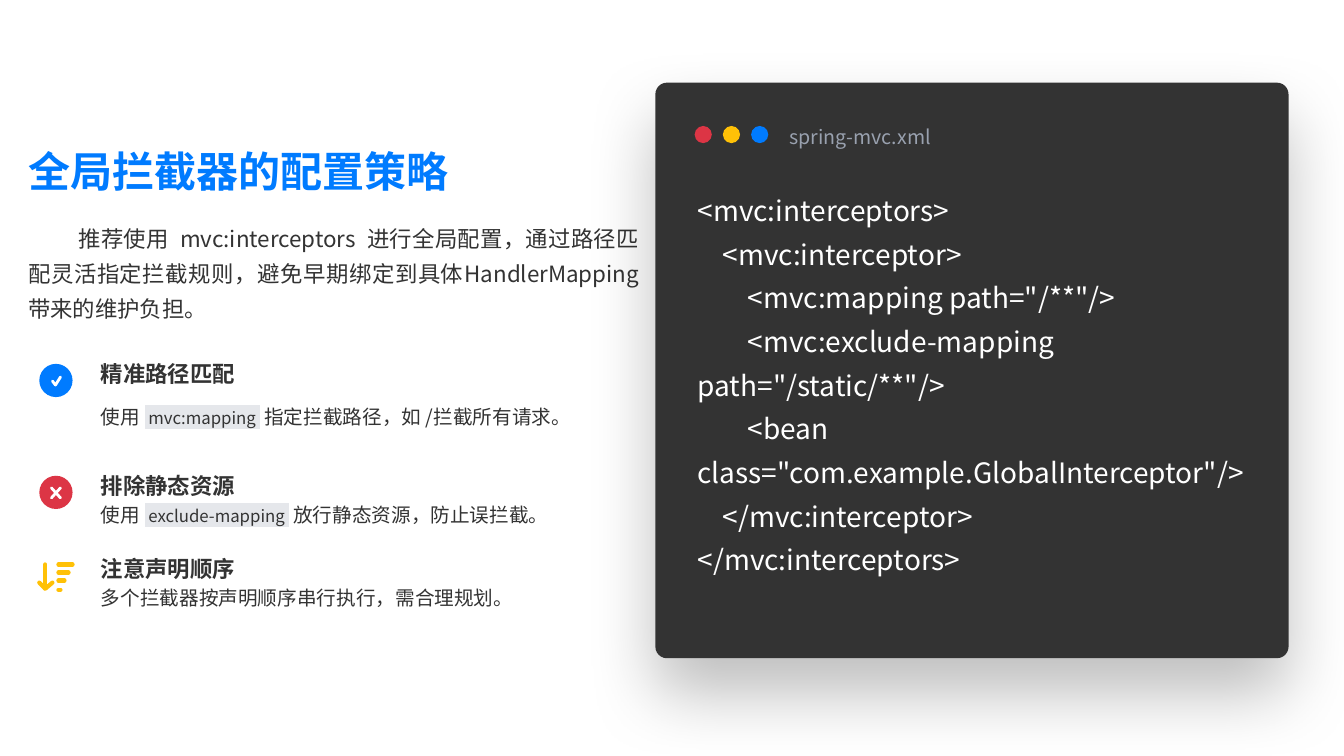
"""Build a slide on configuring global interceptors."""
from dataclasses import dataclass

from lxml import etree
from pptx import Presentation
from pptx.dml.color import RGBColor
from pptx.enum.shapes import MSO_SHAPE
from pptx.enum.text import MSO_ANCHOR, MSO_AUTO_SIZE, PP_ALIGN
from pptx.oxml.ns import qn
from pptx.util import Inches, Pt

FONT = "Noto Sans CJK SC"
BLUE, RED, YELLOW = "007BFF", "DC3545", "FFC107"
DARK, WHITE, GRAY, CHIP = "333333", "FFFFFF", "99A1AF", "E5E7EB"
OVAL, ROUNDED = MSO_SHAPE.OVAL, MSO_SHAPE.ROUNDED_RECTANGLE
MIDDLE, TOP = MSO_ANCHOR.MIDDLE, MSO_ANCHOR.TOP
LEFT, JUSTIFY = PP_ALIGN.LEFT, PP_ALIGN.JUSTIFY
NO_RESIZE, GROW = MSO_AUTO_SIZE.NONE, MSO_AUTO_SIZE.SHAPE_TO_FIT_TEXT

CODE = """<mvc:interceptors>
    <mvc:interceptor>
        <mvc:mapping path="/**"/>
        <mvc:exclude-mapping path="/static/**"/>
        <bean class="com.example.GlobalInterceptor"/>
    </mvc:interceptor>
</mvc:interceptors>"""

Stroke = list[tuple[float, float]]


@dataclass
class Span:
    """A piece of text with one format."""
    text: str
    size: float
    color: str = DARK
    bold: bool = False
    highlight: str | None = None


@dataclass
class Advice:
    """A heading with its explanation and icon strokes."""
    top: float
    heading: str
    details: list[Span]
    detail_height: float
    strokes: list[Stroke]
    stroke_color: str
    stroke_width: float
    disc_color: str | None = None


CHECK: list[Stroke] = [[(0.52, 3.78), (0.55, 3.82), (0.6, 3.74)]]
CROSS: list[Stroke] = [[(0.51, 4.84), (0.6, 4.94)], [(0.6, 4.84), (0.51, 4.94)]]
SORT: list[Stroke] = [
    [(0.45, 5.6), (0.45, 5.84)],
    [(0.39, 5.78), (0.45, 5.84), (0.52, 5.78)],
    *[[(0.58, y), (x, y)] for x, y in ((0.72, 5.6), (0.68, 5.68), (0.64, 5.76), (0.6, 5.85))],
]

ADVICE = [
    Advice(3.5, "精准路径匹配",
           [Span("使用 ", 14), Span(" mvc:mapping ", 12, highlight=CHIP),
            Span(" 指定拦截路径，如 /拦截所有请求。", 14)],
           0.56, CHECK, WHITE, 2, BLUE),
    Advice(4.61, "排除静态资源",
           [Span("使用 ", 14), Span(" exclude-mapping ", 12, highlight=CHIP),
            Span(" 放行静态资源，防止误拦截。", 14)],
           0.28, CROSS, WHITE, 2, RED),
    Advice(5.44, "注意声明顺序", [Span("多个拦截器按声明顺序串行执行，需合理规划。", 14)],
           0.28, SORT, YELLOW, 3),
]


def rgb(color: str) -> RGBColor:
    """Turn a hex string into a colour."""
    return RGBColor.from_string(color)


def add_span(paragraph, span: Span) -> None:
    """Append a formatted run to a paragraph."""
    run = paragraph.add_run()
    run.text = span.text
    run.font.size = Pt(span.size)
    run.font.bold = span.bold
    run.font.color.rgb = rgb(span.color)
    properties = run.font._element
    if span.highlight:
        highlight = etree.SubElement(properties, qn("a:highlight"))
        etree.SubElement(highlight, qn("a:srgbClr"), val=span.highlight)
    run.font.name = FONT
    etree.SubElement(properties, qn("a:ea"), typeface=FONT)


def fill_frame(shape, lines: list[list[Span]], spacing: float = 1.0,
               anchor=MIDDLE, alignment=LEFT, inset: bool = False) -> None:
    """Write lines of spans into a shape's text frame."""
    frame = shape.text_frame
    frame.word_wrap = True
    frame.auto_size = NO_RESIZE
    frame.vertical_anchor = anchor
    if not inset:
        frame.margin_left = frame.margin_top = frame.margin_right = frame.margin_bottom = 0
    for index, spans in enumerate(lines):
        paragraph = frame.paragraphs[0] if index == 0 else frame.add_paragraph()
        paragraph.alignment = alignment
        paragraph.line_spacing = spacing
        for span in spans:
            add_span(paragraph, span)


def add_text_box(slide, left: float, top: float, width: float, height: float):
    """Add an empty text box."""
    return slide.shapes.add_textbox(Inches(left), Inches(top), Inches(width), Inches(height))


def add_solid(slide, kind, left: float, top: float, width: float, height: float, color: str):
    """Add a filled shape without outline or shadow."""
    shape = slide.shapes.add_shape(kind, Inches(left), Inches(top), Inches(width), Inches(height))
    shape.shadow.inherit = False
    shape.fill.solid()
    shape.fill.fore_color.rgb = rgb(color)
    shape.line.fill.background()
    return shape


def add_strokes(slide, strokes: list[Stroke], color: str, width: float) -> None:
    """Draw round-ended strokes as one open outline."""
    points = [[(Inches(x), Inches(y)) for x, y in stroke] for stroke in strokes]
    builder = slide.shapes.build_freeform(*points[0][0], scale=1.0)
    builder.add_line_segments(points[0][1:], close=False)
    for start, *rest in points[1:]:
        builder.move_to(*start)
        builder.add_line_segments(rest, close=False)
    shape = builder.convert_to_shape()
    shape.shadow.inherit = False
    shape.fill.background()
    shape.line.color.rgb = rgb(color)
    shape.line.width = Pt(width)
    line = shape.line._get_or_add_ln()
    line.set("cap", "rnd")
    etree.SubElement(line, qn("a:round"))


def add_advice(slide, advice: Advice) -> None:
    """Draw one piece of advice with its icon."""
    if advice.disc_color:
        add_solid(slide, OVAL, 0.39, advice.top + 0.11, 0.33, 0.33, advice.disc_color)
    add_strokes(slide, advice.strokes, advice.stroke_color, advice.stroke_width)
    heading = add_text_box(slide, 1, advice.top, 5.33, 0.33)
    fill_frame(heading, [[Span(advice.heading, 16, bold=True)]], 1.3)
    details = add_text_box(slide, 1, advice.top + 0.33, 5.32, advice.detail_height)
    fill_frame(details, [advice.details], 1.2)


def add_code_window(slide) -> None:
    """Draw the dark code window with its buttons and listing."""
    window = add_solid(slide, ROUNDED, 6.5, 0.82, 6.28, 5.71, DARK)
    window.adjustments[0] = 0.02
    effects = window._element.spPr.find(qn("a:effectLst"))
    shadow = etree.SubElement(effects, qn("a:outerShdw"), blurRad=str(Pt(50)),
                              dist=str(Pt(25)), dir="5400000", algn="ctr", rotWithShape="0")
    shade = etree.SubElement(shadow, qn("a:srgbClr"), val="000000")
    etree.SubElement(shade, qn("a:alpha"), val="25000")
    for index, color in enumerate((RED, YELLOW, BLUE)):
        add_solid(slide, OVAL, 6.89 + 0.28 * index, 1.25, 0.17, 0.17, color)
    file_name = add_text_box(slide, 7.83, 1.19, 1.6, 0.28)
    fill_frame(file_name, [[Span("spring-mvc.xml", 14, GRAY)]], 1.2)
    listing = add_text_box(slide, 6.82, 1.77, 5.85, 3.6)
    lines = [[Span(line, 20, WHITE)] for line in CODE.splitlines()]
    fill_frame(listing, lines, 1.3, anchor=TOP, inset=True)
    listing.text_frame.auto_size = GROW


def main() -> None:
    """Build and save the slide."""
    presentation = Presentation()
    presentation.slide_width, presentation.slide_height = Inches(13.33), Inches(7.5)
    slide = presentation.slides.add_slide(presentation.slide_layouts[5])
    title = slide.shapes.title
    title.left, title.top = Inches(0.28), Inches(1.44)
    title.width, title.height = Inches(6.15), Inches(0.5)
    fill_frame(title, [[Span("全局拦截器的配置策略", 30, BLUE, True)]])
    summary = add_text_box(slide, 0.28, 2.17, 6.06, 1)
    fill_frame(summary, [[
        Span("推荐使用 ", 16), Span(" mvc:interceptors ", 16),
        Span(" 进行全局配置，通过路径匹配灵活指定拦截规则，避免早期绑定到具体"
             "HandlerMapping带来的维护负担。", 16)]], 1.3, alignment=JUSTIFY)
    summary.text_frame.paragraphs[0]._p.get_or_add_pPr().set("indent", str(Inches(0.5)))
    for advice in ADVICE:
        add_advice(slide, advice)
    add_code_window(slide)
    presentation.save("out.pptx")


if __name__ == "__main__":
    main()
